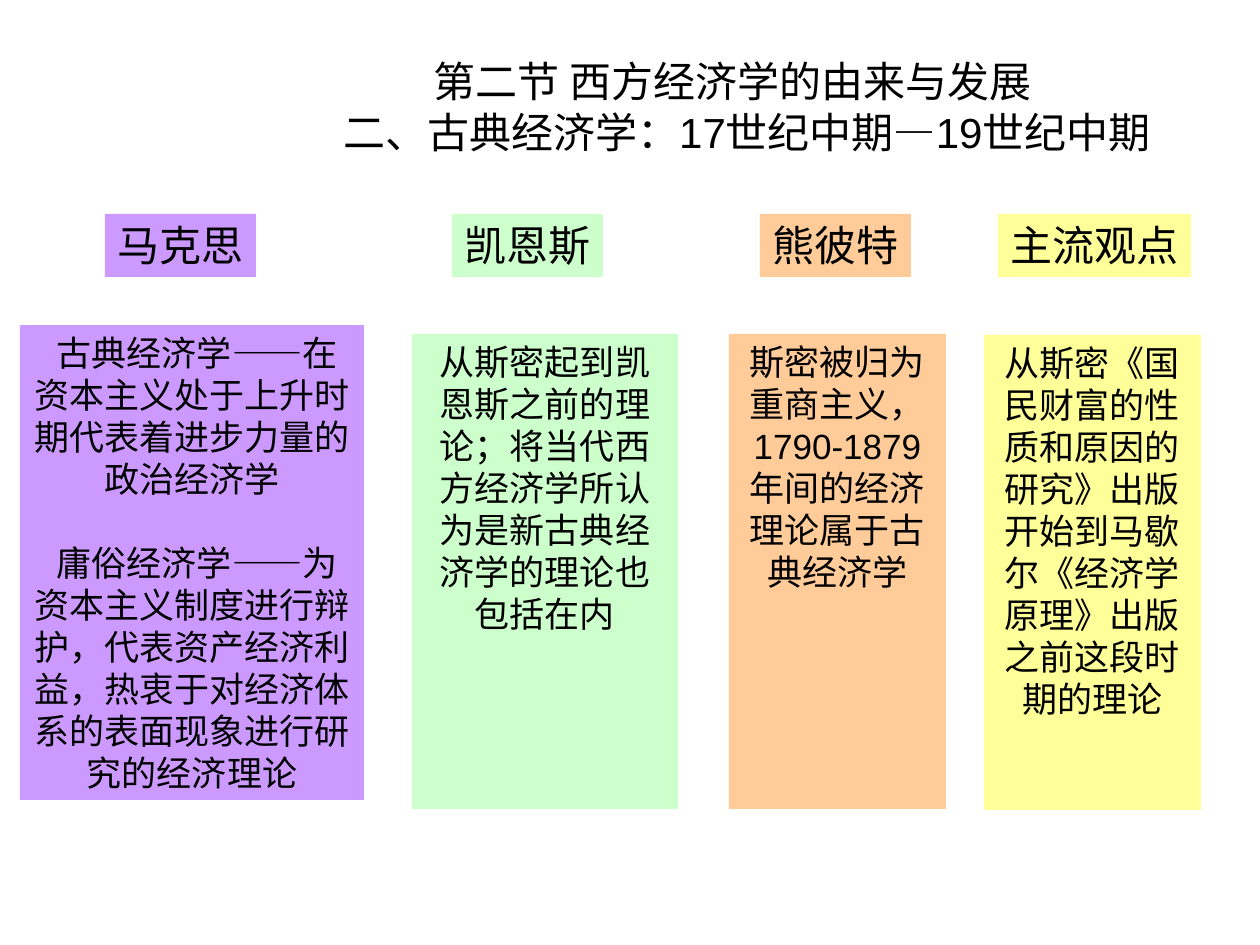
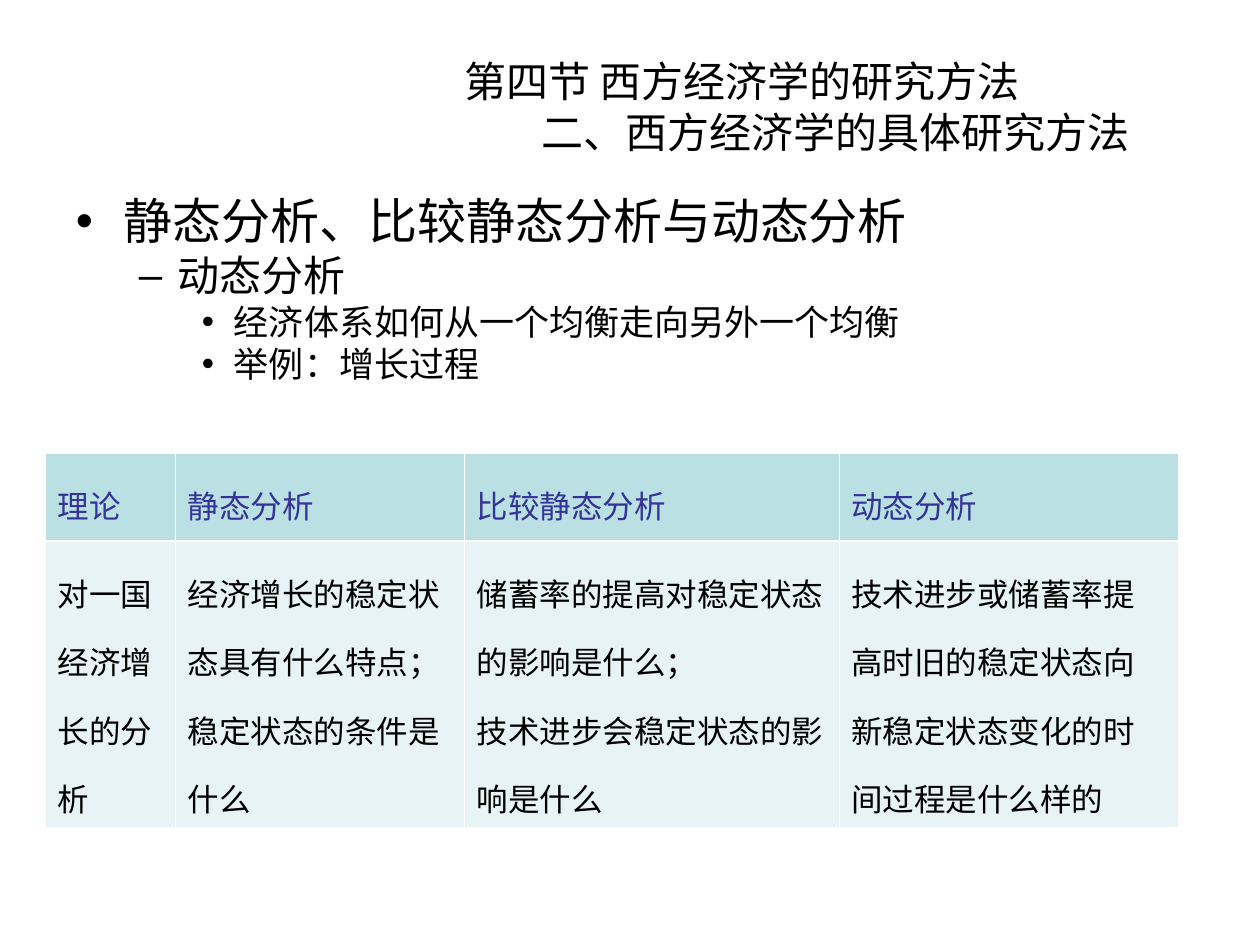
import dataclasses

import lxml.etree
import pptx
import pptx.dml.color
import pptx.enum.shapes
import pptx.enum.text
import pptx.oxml.ns
import pptx.util

EMU_PER_PX = 914400 / 126
ALIGN = pptx.enum.text.PP_ALIGN
ANCHOR = pptx.enum.text.MSO_ANCHOR


@dataclasses.dataclass(frozen=True)
class Theme:
    latin: str = "Arial"
    chinese: str = "Noto Sans CJK SC"
    ink: str = "000000"
    header_ink: str = "333399"
    header_fill: str = "BBE0E3"
    row_fill: str = "E7F3F4"
    rule: str = "FFFFFF"
    thin_rule: float = 0.45
    thick_rule: float = 1.47
    title_size: int = 24
    label_size: int = 24
    view_size: int = 20
    level_sizes: tuple = (28, 24, 20)
    table_size: int = 18
    leading: float = 1.2
    table_leading: float = 1.5


THEME = Theme()
TITLE_BOX = (63, 47, 1134, 118)
FRAME_FORMAT = {"margin_left": 13, "margin_right": 13, "margin_top": 6, "margin_bottom": 6}

# Scholar, label (left, width), view (left, top, width), colour, paragraphs
SCHOOLS = [
    ("马克思", (105, 151), (20, 325, 344), "CC99FF", [
        "古典经济学——在资本主义处于上升时期代表着进步力量的政治经济学",
        "庸俗经济学——为资本主义制度进行辩护，代表资产经济利益，"
        "热衷于对经济体系的表面现象进行研究的经济理论"]),
    ("凯恩斯", (452, 151), (412, 334, 266), "CCFFCC", [
        "从斯密起到凯恩斯之前的理论；将当代西方经济学所认为是新古典经济学的理论也包括在内"]),
    ("熊彼特", (760, 151), (729, 334, 217), "FFCC99", [
        "斯密被归为重商主义，1790-1879年间的经济理论属于古典经济学"]),
    ("主流观点", (998, 193), (984, 335, 217), "FFFF99", [
        "从斯密《国民财富的性质和原因的研究》出版开始到马歇尔"
        "《经济学原理》出版之前这段时期的理论"]),
]
LABEL_TOP, LABEL_HEIGHT, VIEW_HEIGHT = 214, 63, 475

OUTLINE = [
    (0, "静态分析、比较静态分析与动态分析"),
    (1, "动态分析"),
    (2, "经济体系如何从一个均衡走向另外一个均衡"),
    (2, "举例：增长过程"),
]
# Bullet, left margin and hanging indent of each outline level
LEVELS = [("•", 48, -48), ("–", 102, -39), ("•", 158, -32)]

METHOD_ROWS = [
    ["理论", "静态分析", "比较静态分析", "动态分析"],
    ["对一国经济增长的分析",
     "经济增长的稳定状态具有什么特点；\n稳定状态的条件是什么",
     "储蓄率的提高对稳定状态的影响是什么；\n技术进步会稳定状态的影响是什么",
     "技术进步或储蓄率提高时旧的稳定状态向新稳定状态变化的时间过程是什么样的"],
]
METHOD_WIDTHS = (130, 289, 375, 339)
METHOD_HEIGHTS = (88, 286)


def px(length):
    return pptx.util.Emu(round(length * EMU_PER_PX))


def place(box):
    return [px(length) for length in box]


def rgb(colour):
    return pptx.dml.color.RGBColor.from_string(colour)


def apply(target, values):
    for name, value in values.items():
        setattr(target, name, value)


def child(parent, tag, **attributes):
    return lxml.etree.SubElement(parent, pptx.oxml.ns.qn(tag), attributes)


def indent(paragraph, left, first_line=0):
    properties = paragraph._p.get_or_add_pPr()
    properties.set("marL", str(px(left)))
    properties.set("indent", str(px(first_line)))
    return properties


def write(paragraph, text, size, colour=THEME.ink, **layout):
    exact = {"line_spacing": pptx.util.Pt(size * THEME.leading)}
    apply(paragraph, exact | layout)
    run = paragraph.add_run()
    run.text = text
    apply(run.font, {"size": pptx.util.Pt(size), "name": THEME.latin})
    run.font.color.rgb = rgb(colour)
    child(run._r.get_or_add_rPr(), "a:ea", typeface=THEME.chinese)


def paragraphs(frame, count):
    return [frame.paragraphs[0]] + [frame.add_paragraph() for _ in range(count - 1)]


def prepare(frame, wrap=True, anchor=ANCHOR.TOP):
    apply(frame, {name: px(margin) for name, margin in FRAME_FORMAT.items()})
    apply(frame, {"word_wrap": wrap, "vertical_anchor": anchor})
    return frame


def add_frame(slide, box, **options):
    return prepare(slide.shapes.add_textbox(*place(box)).text_frame, **options)


def add_panel(slide, box, colour, **options):
    panel = slide.shapes.add_shape(pptx.enum.shapes.MSO_SHAPE.RECTANGLE, *place(box))
    panel.shadow.inherit = False
    panel.fill.solid()
    panel.fill.fore_color.rgb = rgb(colour)
    panel.line.fill.background()
    return prepare(panel.text_frame, **options)


def add_title(slide, box, lines):
    """Each line is centred in what its left indent leaves of the box."""
    frame = add_frame(slide, box, anchor=ANCHOR.MIDDLE)
    for paragraph, (text, left) in zip(paragraphs(frame, len(lines)), lines):
        indent(paragraph, left)
        write(paragraph, text, THEME.title_size, alignment=ALIGN.CENTER)


def add_view(slide, box, colour, texts):
    frame = add_panel(slide, box, colour)
    several = len(texts) > 1
    for number, (paragraph, text) in enumerate(zip(paragraphs(frame, len(texts)), texts)):
        indent(paragraph, 0, 10 if several else 0)
        gap = {"space_before": pptx.util.Pt(THEME.view_size * THEME.leading)} if number else {}
        write(paragraph, text, THEME.view_size, alignment=ALIGN.CENTER, **gap)


def add_label(slide, box, colour, scholar):
    frame = add_panel(slide, box, colour, wrap=False)
    write(frame.paragraphs[0], scholar, THEME.label_size, alignment=ALIGN.CENTER)


def add_outline(slide, box):
    frame = add_frame(slide, box)
    for paragraph, (level, text) in zip(paragraphs(frame, len(OUTLINE)), OUTLINE):
        bullet, left, hanging = LEVELS[level]
        properties = indent(paragraph, left, hanging)
        child(child(properties, "a:buClr"), "a:srgbClr", val=THEME.ink)
        child(properties, "a:buFont", typeface=THEME.latin)
        child(properties, "a:buChar", char=bullet)
        write(paragraph, text, THEME.level_sizes[level], level=level)


def add_borders(cell, top, bottom):
    widths = {"a:lnL": THEME.thin_rule, "a:lnR": THEME.thin_rule, "a:lnT": top, "a:lnB": bottom}
    for tag, width in widths.items():
        line = child(cell._tc.get_or_add_tcPr(), tag, w=str(pptx.util.Pt(width)))
        child(child(line, "a:solidFill"), "a:srgbClr", val=THEME.rule)


def add_method_table(slide, left, top):
    box = (left, top, sum(METHOD_WIDTHS), sum(METHOD_HEIGHTS))
    table = slide.shapes.add_table(len(METHOD_ROWS), len(METHOD_WIDTHS), *place(box)).table
    apply(table, {"first_row": False, "horz_banding": False})
    for column, width in zip(table.columns, METHOD_WIDTHS):
        column.width = px(width)
    row_formats = [
        (THEME.header_fill, THEME.header_ink, THEME.thin_rule, THEME.thick_rule),
        (THEME.row_fill, THEME.ink, THEME.thick_rule, THEME.thin_rule),
    ]
    for row, height, texts, (fill, ink, above, below) in zip(
            table.rows, METHOD_HEIGHTS, METHOD_ROWS, row_formats):
        row.height = px(height)
        for cell, text in zip(row.cells, texts):
            add_borders(cell, above, below)
            cell.fill.solid()
            cell.fill.fore_color.rgb = rgb(fill)
            parts = text.split("\n")
            for paragraph, part in zip(paragraphs(cell.text_frame, len(parts)), parts):
                write(paragraph, part, THEME.table_size, ink,
                      line_spacing=THEME.table_leading)


def build_schools_slide(slide):
    # Views below, scholar labels above
    for scholar, (label_left, label_width), (left, top, width), colour, texts in SCHOOLS:
        add_view(slide, (left, top, width, VIEW_HEIGHT), colour, texts)
        add_label(slide, (label_left, LABEL_TOP, label_width, LABEL_HEIGHT), colour, scholar)
    add_title(slide, TITLE_BOX, [("第二节 西方经济学的由来与发展", 205),
                                 ("二、古典经济学：17世纪中期—19世纪中期", 234)])


def build_methods_slide(slide):
    # Outline, then the comparison of the three methods
    add_outline(slide, (63, 185, 1134, 659))
    add_method_table(slide, 45, 453)
    add_title(slide, TITLE_BOX, [("第四节 西方经济学的研究方法", 224),
                                 ("二、西方经济学的具体研究方法", 412)])


def main():
    deck = pptx.Presentation()
    apply(deck, {"slide_width": px(1260), "slide_height": px(945)})
    for build in (build_schools_slide, build_methods_slide):
        build(deck.slides.add_slide(deck.slide_layouts[6]))
    deck.save("out.pptx")


if __name__ == "__main__":
    main()
